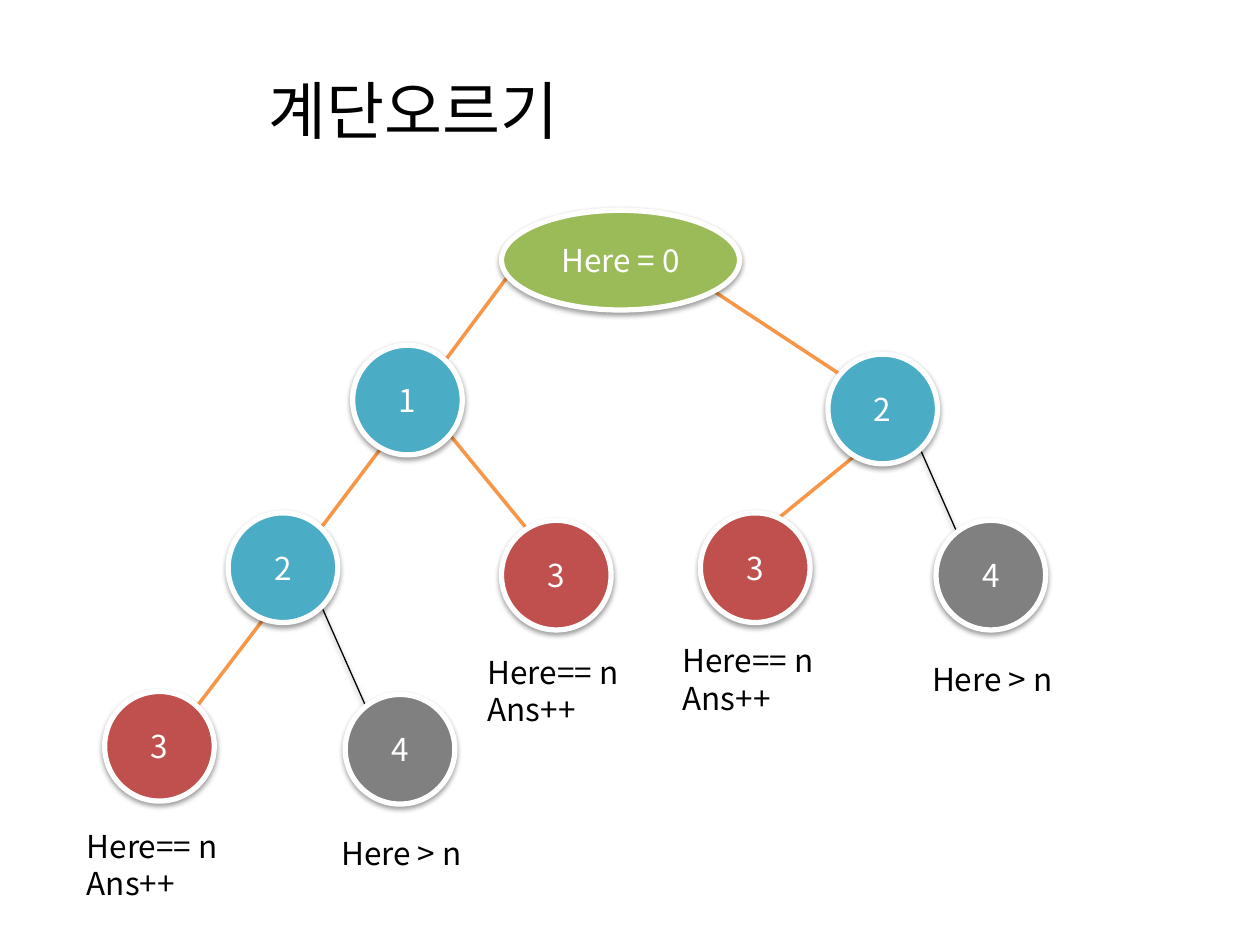
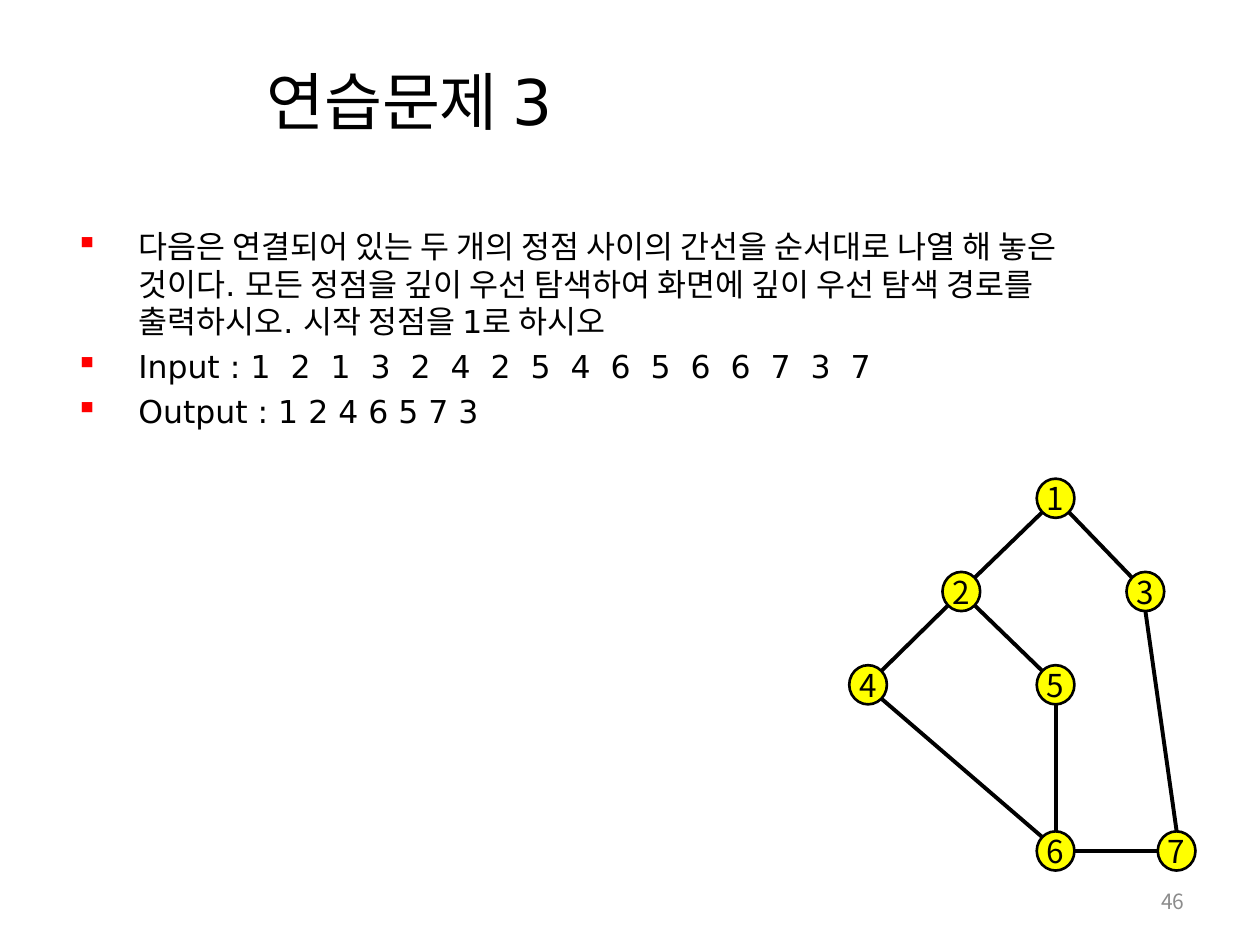
from math import cos, radians, sin
from typing import NamedTuple

from lxml import etree
from pptx import Presentation
from pptx.dml.color import RGBColor
from pptx.enum.shapes import MSO_CONNECTOR, MSO_SHAPE
from pptx.enum.text import MSO_ANCHOR, PP_ALIGN
from pptx.oxml.ns import qn
from pptx.util import Cm, Pt

OVAL = MSO_SHAPE.OVAL
STRAIGHT = MSO_CONNECTOR.STRAIGHT
MIDDLE, TOP = MSO_ANCHOR.MIDDLE, MSO_ANCHOR.TOP
LEFT, CENTER, RIGHT = PP_ALIGN.LEFT, PP_ALIGN.CENTER, PP_ALIGN.RIGHT

SANS, CJK = "DejaVu Sans", "Noto Sans CJK KR"
BLACK, WHITE, GREY, RED = "000000", "FFFFFF", "8C8C8C", "FF0000"
ORANGE, GREEN, YELLOW = "F79646", "9BBB59", "FFFF00"
OPEN, FOUND, OVER = "4BACC6", "C0504D", "808080"

TITLE = {"name": SANS, "size": Pt(36)}
BODY = {"name": SANS, "size": Pt(18)}
LABEL = {"name": CJK, "size": Pt(18)}
NUMBER = {"name": CJK, "size": Pt(12)}

CALL = 2.21               # diameter of a call in the tree
DOT_W, DOT_H = 0.76, 0.79  # size of a graph vertex
EAST, SOUTHEAST, SOUTH, SOUTHWEST, NORTH = 0, 45, 90, 135, 270


class Node(NamedTuple):
    text: str
    x: float
    y: float
    fill: str
    w: float = CALL
    h: float = CALL


class Line(NamedTuple):
    x1: float
    y1: float
    x2: float
    y2: float
    live: bool = True


class Note(NamedTuple):
    lines: tuple[str, ...]
    x: float
    y: float
    w: float
    h: float


class Edge(NamedTuple):
    start: int
    end: int
    angle: int


def rgb(code: str) -> RGBColor:
    return RGBColor.from_string(code)


def add_tag(parent, tag: str, **attrs):
    return etree.SubElement(parent, qn(tag), attrs)


def style(font, form: dict, color: str = BLACK) -> None:
    for key, value in form.items():
        setattr(font, key, value)
    font.color.rgb = rgb(color)


def write(frame, lines, form: dict, color: str = BLACK, align=LEFT, anchor=TOP) -> None:
    frame.vertical_anchor = anchor
    for i, text in enumerate(lines):
        para = frame.paragraphs[0] if i == 0 else frame.add_paragraph()
        para.alignment = align
        run = para.add_run()
        run.text = text
        style(run.font, form, color)


def place(shape, x: float, y: float, w: float, h: float) -> None:
    for key, value in {"left": x, "top": y, "width": w, "height": h}.items():
        setattr(shape, key, Cm(value))


def add_slide(deck, title: str, x: float, y: float):
    slide = deck.slides.add_slide(deck.slide_layouts[5])
    place(slide.shapes.title, x, y, 17.93, 2.57)
    write(slide.shapes.title.text_frame, [title], TITLE, anchor=MIDDLE)
    return slide


def add_box(slide, x: float, y: float, w: float, h: float, wrap: bool = True):
    frame = slide.shapes.add_textbox(Cm(x), Cm(y), Cm(w), Cm(h)).text_frame
    frame.word_wrap = wrap
    return frame


def add_shadow(effects) -> None:
    shade = add_tag(effects, "a:outerShdw", blurRad=str(Pt(3.1)), dist=str(Pt(1.6)),
                    dir="5400000", rotWithShape="0")
    color = add_tag(shade, "a:srgbClr", val=BLACK)
    add_tag(color, "a:alpha", val="38000")


def add_line(slide, ends, color: str, width: float, shadow: bool = False) -> None:
    link = slide.shapes.add_connector(STRAIGHT, *(Cm(end) for end in ends))
    link.line.color.rgb = rgb(color)
    link.line.width = Pt(width)
    effects = add_tag(link.element.spPr, "a:effectLst")
    if shadow:
        add_shadow(effects)


def add_node(slide, node: Node, border: str, width: float, ink: str):
    shape = slide.shapes.add_shape(OVAL, Cm(node.x), Cm(node.y), Cm(node.w), Cm(node.h))
    shape.fill.solid()
    shape.fill.fore_color.rgb = rgb(node.fill)
    shape.line.color.rgb = rgb(border)
    shape.line.width = Pt(width)
    shape.shadow.inherit = False
    write(shape.text_frame, [node.text], LABEL, ink, CENTER, MIDDLE)
    return shape


def rim(node: Node, angle: int) -> tuple[float, float]:
    """Point on the outline, clockwise from east."""
    turn = radians(angle)
    return (node.x + node.w / 2 * (1 + cos(turn)),
            node.y + node.h / 2 * (1 + sin(turn)))


CALLS = [
    Node("Here = 0", 10.11, 4.24, GREEN, 4.8, 2.01),
    Node("1", 7.11, 6.96, OPEN),
    Node("2", 4.6, 10.34, OPEN),
    Node("3", 2.11, 13.94, FOUND),
    Node("4", 6.96, 14, OVER),
    Node("3", 10.11, 10.49, FOUND),
    Node("2", 16.69, 7.14, OPEN),
    Node("3", 14.12, 10.34, FOUND),
    Node("4", 18.87, 10.49, OVER),
]
STEPS = [
    Line(10.49, 5.23, 8.71, 7.62),
    Line(8, 8.61, 6.2, 11),
    Line(5.51, 12.22, 3.71, 14.58),
    Line(6.48, 12.22, 7.49, 14.5, False),
    Line(8.94, 8.61, 10.9, 11),
    Line(13.69, 5.41, 17.7, 8.05),
    Line(17.5, 8.97, 14.61, 11.33),
    Line(18.39, 8.69, 19.41, 11, False),
]
HIT, MISS = ("Here== n", "Ans++"), ("Here > n",)
NOTES = [
    *(Note(HIT, x, y, 3.38, 1.8) for x, y in ((1.5, 16.54), (9.58, 13.03), (13.51, 12.8))),
    *(Note(MISS, x, y, 3.15, 1.02) for x, y in ((6.63, 16.69), (18.54, 13.18))),
]

ROWS = [9.65 + 1.88 * i for i in range(3)] + [16.76]
SPOTS = [(20.9, 0), (19, 1), (22.71, 1), (17.12, 2), (20.9, 2), (20.9, 3), (23.34, 3)]
DOTS = {
    i: Node(str(i), x, ROWS[row], YELLOW, DOT_W, DOT_H)
    for i, (x, row) in enumerate(SPOTS, 1)
}
EDGES = [
    Edge(1, 2, SOUTHWEST), Edge(2, 4, SOUTHWEST), Edge(2, 5, SOUTHEAST),
    Edge(1, 3, SOUTHEAST), Edge(4, 6, SOUTHEAST), Edge(5, 6, SOUTH),
    Edge(6, 7, EAST), Edge(7, 3, NORTH),
]
TASK = [
    "다음은 연결되어 있는 두 개의 정점 사이의 간선을 순서대로 나열 해 놓은 것이다. "
    "모든 정점을 깊이 우선 탐색하여 화면에 깊이 우선 탐색 경로를 출력하시오. "
    "시작 정점을 1로 하시오",
    "Input : ",
    "Output : 1 2 4 6 5 7 3",
]
PAIRS = "1 2 1 3 2 4 2 5 4 6 5 6 6 7 3 7"


def draw_tree(deck) -> None:
    slide = add_slide(deck, "계단오르기", 5.16, 0.91)
    for step in STEPS:
        color, width = (ORANGE, 2) if step.live else (BLACK, 0.75)
        add_line(slide, step[:4], color, width, not step.live)
    for note in NOTES:
        write(add_box(slide, *note[1:], wrap=False), note.lines, LABEL)
    for call in CALLS:
        shape = add_node(slide, call, WHITE, 3, WHITE)
        add_shadow(shape.element.spPr.find(qn("a:effectLst")))


def draw_task(slide) -> None:
    frame = add_box(slide, 1.27, 4.45, 21.79, 5.21)
    write(frame, TASK, BODY)
    for i, para in enumerate(frame.paragraphs):
        props = para._p.get_or_add_pPr()
        props.set("marL", str(Cm(1.27)))
        props.set("indent", str(Cm(-1.27)))
        add_tag(add_tag(props, "a:buClr"), "a:srgbClr", val=RED)
        add_tag(props, "a:buChar", char="▪")
        para.space_before = Pt(4 if i else 0)
    pairs = frame.paragraphs[1].add_run()
    pairs.text = PAIRS
    style(pairs.font, BODY)
    pairs._r.get_or_add_rPr().set("spc", "286")


def draw_graph(deck) -> None:
    slide = add_slide(deck, "연습문제 3", 5.11, 0.74)
    draw_task(slide)
    write(add_box(slide, 18.21, 17.65, 5.92, 1.02), ["46"], NUMBER, GREY, RIGHT, MIDDLE)
    for dot in DOTS.values():
        frame = add_node(slide, dot, BLACK, 1.5, BLACK).text_frame
        frame.margin_left = frame.margin_right = 0
    for edge in EDGES:
        ends = rim(DOTS[edge.start], edge.angle) + rim(DOTS[edge.end], edge.angle + 180)
        add_line(slide, ends, BLACK, 2.25)


def main() -> None:
    deck = Presentation()
    deck.slide_width, deck.slide_height = Cm(25.4), Cm(19.05)
    draw_tree(deck)
    draw_graph(deck)
    deck.save("out.pptx")


if __name__ == "__main__":
    main()
